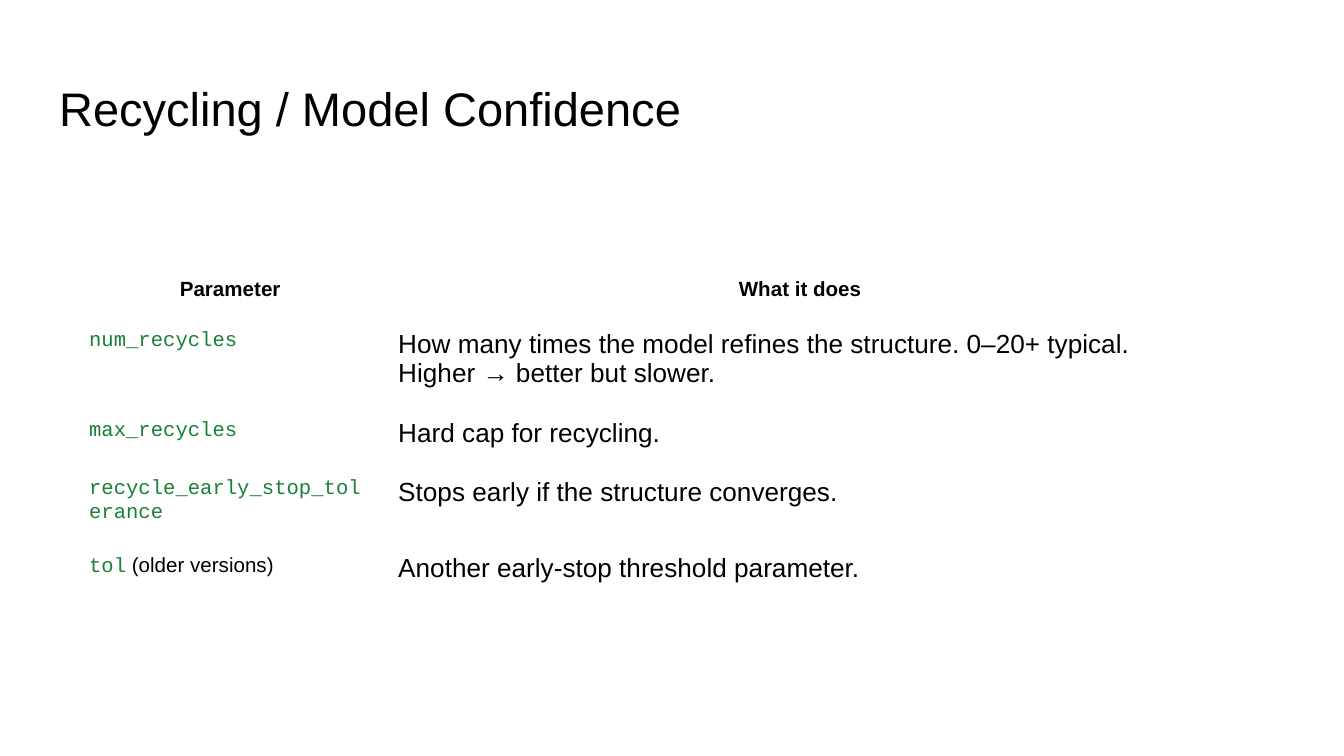
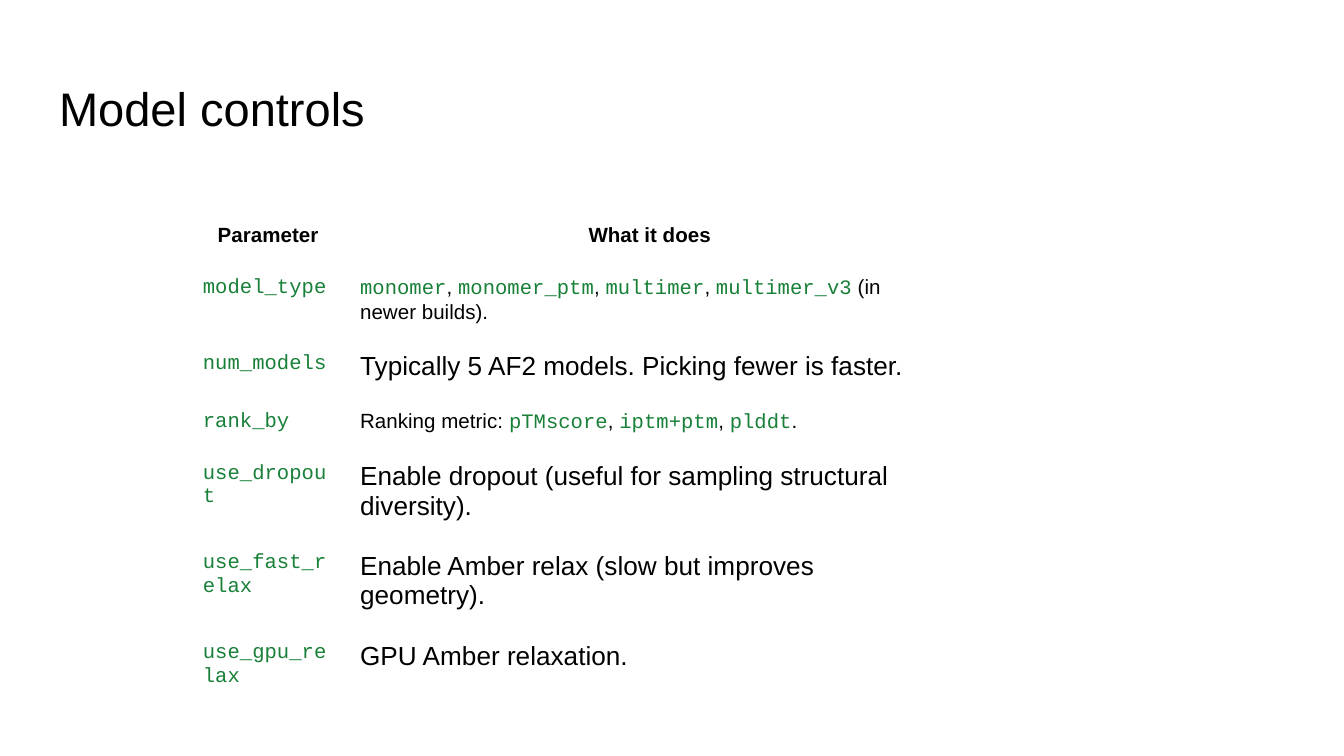
import pptx
import pptx.util
import pptx.dml.color
import pptx.enum.text
from dataclasses import dataclass


@dataclass(frozen=True)
class Theme:
    ink: pptx.dml.color.RGBColor = pptx.dml.color.RGBColor(0x00, 0x00, 0x00)
    code_ink: pptx.dml.color.RGBColor = pptx.dml.color.RGBColor(0x18, 0x80, 0x38)
    paper: pptx.dml.color.RGBColor = pptx.dml.color.RGBColor(0xFF, 0xFF, 0xFF)
    text_font: str = "Arial"
    code_font: str = "Courier New"
    title_size: float = 25.2
    small_size: float = 11
    body_size: float = 14
    margin: float = 0.1


theme = Theme()
HEADER = ("Parameter", "What it does")

pages = [
    {
        "title": "Recycling / Model Confidence",
        "left": 5.63,
        "top": 34.5,
        "columns": (23, 61.8),
        "rows": [
            ("`num_recycles`", "How many times the model refines the structure. 0–20+ typical. Higher → better but slower."),
            ("`max_recycles`", "Hard cap for recycling."),
            ("`recycle_early_stop_tolerance`", "Stops early if the structure converges."),
            ("`tol` (older versions)", "Another early-stop threshold parameter."),
        ],
    },
    {
        "title": "Model controls",
        "left": 14.1,
        "top": 27.4,
        "columns": (11.7, 45.1),
        "rows": [
            ("`model_type`", "`monomer`, `monomer_ptm`, `multimer`, `multimer_v3` (in newer builds)."),
            ("`num_models`", "Typically 5 AF2 models. Picking fewer is faster."),
            ("`rank_by`", "Ranking metric: `pTMscore`, `iptm+ptm`, `plddt`."),
            ("`use_dropout`", "Enable dropout (useful for sampling structural diversity)."),
            ("`use_fast_relax`", "Enable Amber relax (slow but improves geometry)."),
            ("`use_gpu_relax`", "GPU Amber relaxation."),
        ],
    },
]

presentation = pptx.Presentation()
presentation.slide_width = pptx.util.Inches(10)
presentation.slide_height = presentation.slide_width * 9 // 16
across = presentation.slide_width / 100
down = presentation.slide_height / 100


def set_font(font, size, code=False, bold=False):
    font.size = pptx.util.Pt(size)
    font.name = theme.code_font if code else theme.text_font
    font.color.rgb = theme.code_ink if code else theme.ink
    font.bold = bold


def set_margins(holder):
    for side in ("left", "top", "right", "bottom"):
        setattr(holder, f"margin_{side}", pptx.util.Inches(theme.margin))


for page in pages:
    slide = presentation.slides.add_slide(presentation.slide_layouts[6])
    slide.background.fill.solid()
    slide.background.fill.fore_color.rgb = theme.paper

    title = slide.shapes.add_textbox(
        int(3.41 * across), int(8.65 * down), int(93.2 * across), int(11.2 * down)
    )
    frame = title.text_frame
    frame.word_wrap = True
    frame.vertical_anchor = pptx.enum.text.MSO_ANCHOR.MIDDLE
    set_margins(frame)
    frame.text = page["title"]
    set_font(frame.paragraphs[0].font, theme.title_size)

    rows = [HEADER] + page["rows"]
    row_height = int(3.7 * down)
    table = slide.shapes.add_table(
        len(rows), len(HEADER),
        int(page["left"] * across), int(page["top"] * down),
        int(sum(page["columns"]) * across), row_height * len(rows),
    ).table
    table.first_row = False
    table.horz_banding = False
    for column, share in zip(table.columns, page["columns"]):
        column.width = int(share * across)

    for row_index, texts in enumerate(rows):
        table.rows[row_index].height = row_height
        for column_index, text in enumerate(texts):
            cell = table.cell(row_index, column_index)
            cell.fill.background()
            set_margins(cell)
            paragraph = cell.text_frame.paragraphs[0]
            is_header = row_index == 0
            is_small = is_header or "`" in text
            size = theme.small_size if is_small else theme.body_size
            if is_header:
                paragraph.alignment = pptx.enum.text.PP_ALIGN.CENTER
                paragraph.line_spacing = 1.15

            for index, piece in enumerate(text.split("`")):
                if piece:
                    run = paragraph.add_run()
                    run.text = piece
                    set_font(run.font, size, index % 2 == 1, is_header)

presentation.save("out.pptx")
